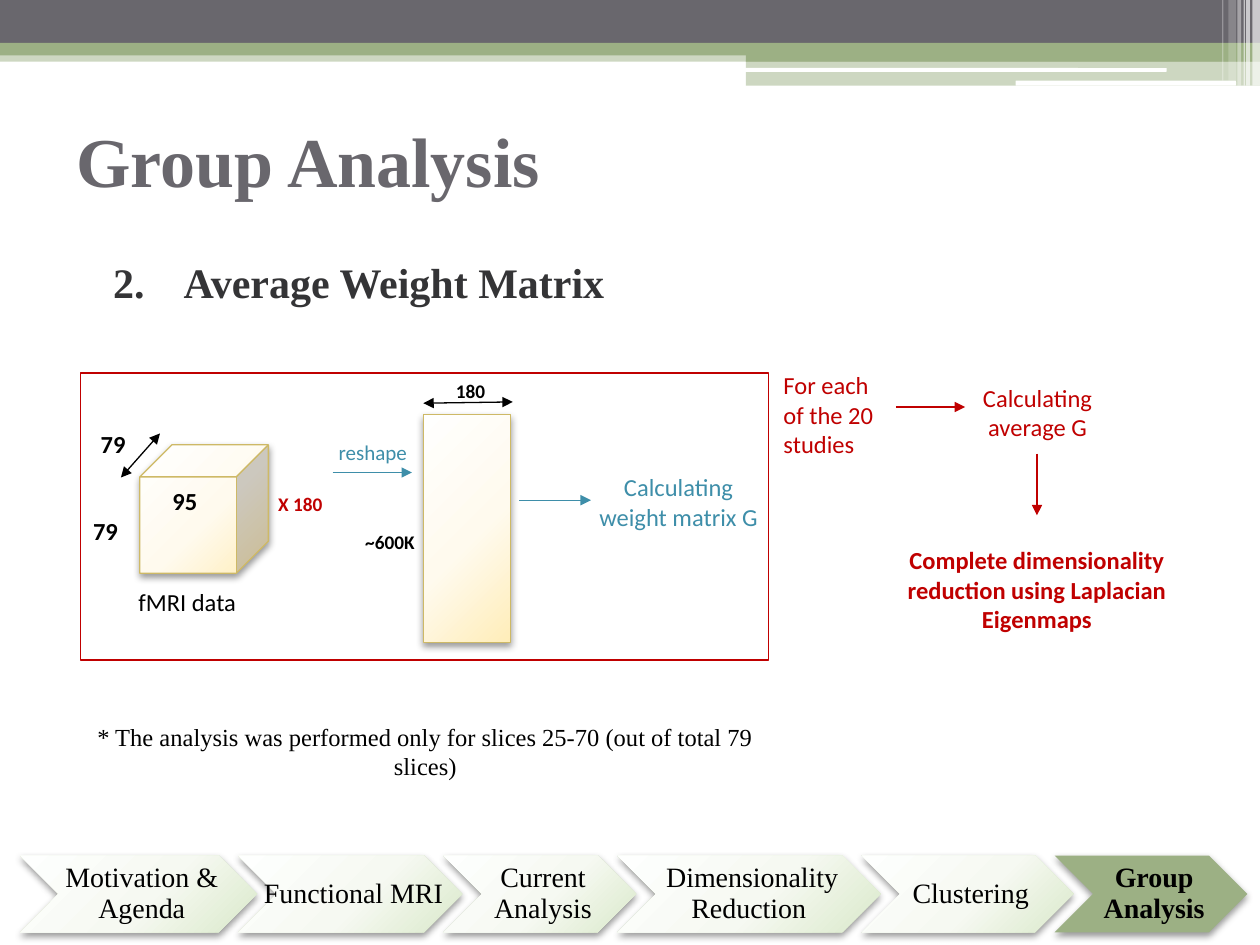
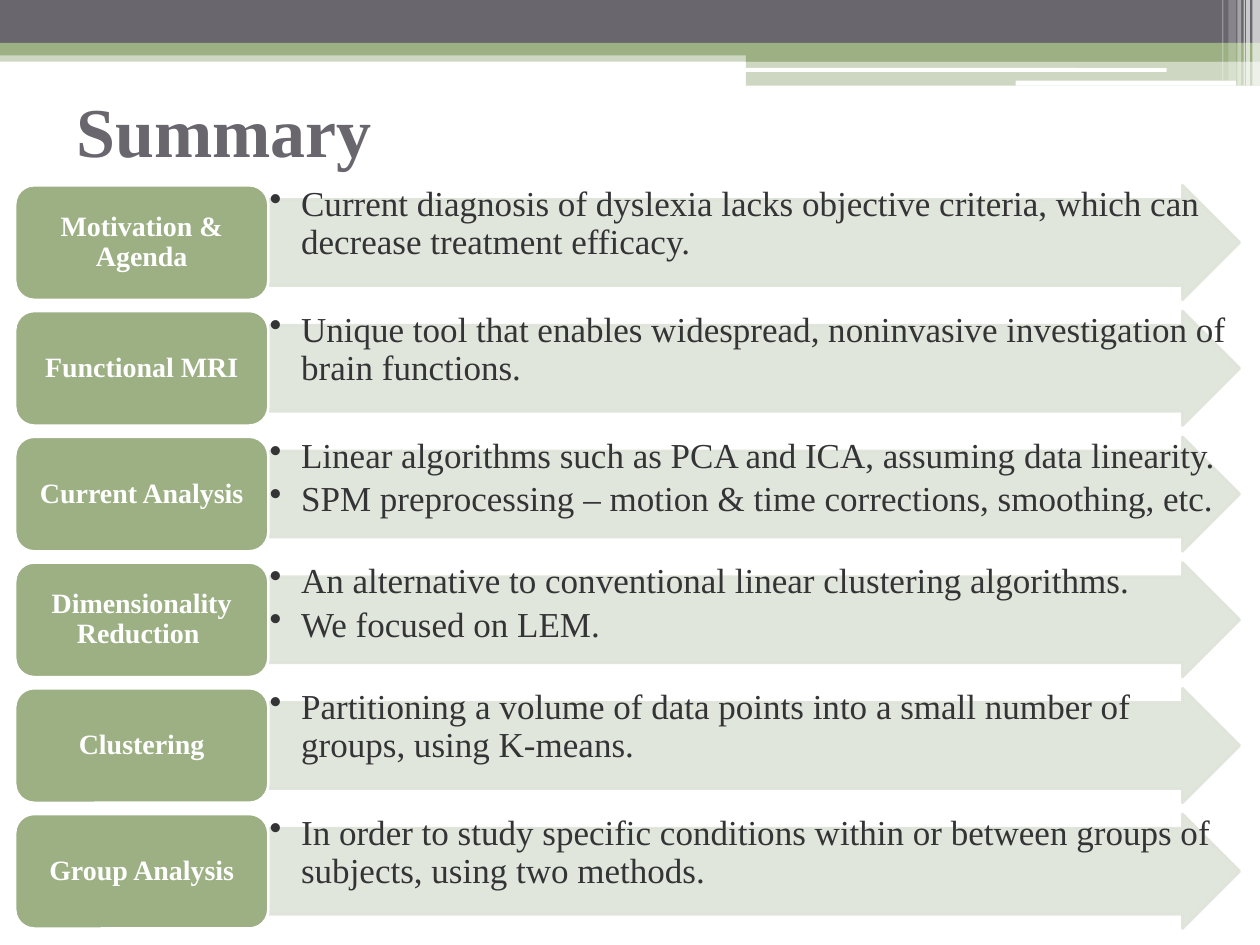
from lxml import etree
from pptx import Presentation
from pptx.dml.color import RGBColor
from pptx.enum import shapes as kinds, text as modes
from pptx.oxml import ns
from pptx.util import Inches, Pt

HEX = {
    "white": "FFFFFF", "black": "000000", "slate": "69676D", "green": "9CB084",
    "ink": "343436", "pale": "DEE4D9", "gold": "CEB966", "red": "C00000",
    "blue": "3E8EA9",
}
MINT = [(0, "FEFFFE"), (55, "F6F9F2"), (100, "DAE9CA")]
CREAM = [(0, "FFFFFE"), (55, "FFFAEE"), (100, "FFEDB9")]
SERIF, SANS = "Times New Roman", "Calibri"
FORM = kinds.MSO_SHAPE
MID = modes.MSO_ANCHOR.MIDDLE
LEFT, CENTER = modes.PP_ALIGN.LEFT, modes.PP_ALIGN.CENTER

BANDS = [
    (0, 0.4, 10, 0.09, "green", 50),
    (0, 0, 10, 0.34, "slate", 100),
    (0, 0.34, 10, 0.1, "green", 100),
    (5.92, 0.39, 4.08, 0.1, "green", 100),
    (5.92, 0.48, 4.08, 0.2, "green", 50),
]
STROKES = [(5.91, 0.54, 3.35, 0.03), (8.06, 0.64, 1.75, 0.04)]
STRIPES = [
    (9.94, 0.06, 0.68, 65), (9.89, 0.03, 0.68, 65), (9.87, 0.01, 0.68, 60),
    (9.82, 0.03, 0.68, 40), (9.75, 0.06, 0.64, 20), (9.7, 0.01, 0.64, 30),
]
STEPS = [
    ("Motivation & Agenda", 1.88,
     ["Current diagnosis of dyslexia lacks objective criteria, which can decrease treatment efficacy."]),
    ("Functional MRI", 1.78,
     ["Unique tool that enables widespread, noninvasive investigation of brain functions."]),
    ("Current Analysis", 1.53,
     ["Linear algorithms such as PCA and ICA, assuming data linearity.",
      "SPM preprocessing – motion & time corrections, smoothing, etc."]),
    ("Dimensionality Reduction ", 2.09,
     ["An alternative to conventional linear clustering algorithms.",
      "We focused on LEM."]),
    ("Clustering", 1.68,
     ["Partitioning a volume of data points into a small number of groups, using K-means."]),
    ("Group Analysis", 1.53,
     ["In order to study specific conditions within or between groups of subjects, using two methods."]),
]
LABELS = [
    ("~600K", (2.8, 4.16, 0.61, 0.29), 11, "black", True, LEFT),
    ("180", (3.52, 2.96, 0.47, 0.29), 11, "black", True, LEFT),
    ("fMRI data", (1, 4.61, 1.03, 0.34), 14, "black", False, LEFT),
    ("79", (0.64, 4.05, 0.45, 0.34), 14, "black", True, LEFT),
    ("95", (1.27, 3.81, 0.45, 0.34), 14, "black", True, LEFT),
    ("79", (0.7, 3.36, 0.45, 0.34), 14, "black", True, LEFT),
    ("X 180", (2.11, 3.86, 0.61, 0.29), 11, "red", True, LEFT),
    ("reshape", (2.59, 3.44, 0.84, 0.3), 12, "blue", False, LEFT),
    ("Calculating weight matrix G", (4.59, 3.7, 1.59, 0.57), 14, "blue", False, CENTER),
    ("For each of the 20 studies", (6.12, 2.89, 1.03, 0.81), 14, "red", False, LEFT),
    ("Calculating average G", (7.65, 2.99, 1.17, 0.57), 14, "red", False, CENTER),
    ("Complete dimensionality reduction using Laplacian Eigenmaps",
     (7.05, 4.28, 2.36, 0.81), 14, "red", True, CENTER),
]
ARROWS = [
    ((4.07, 3.19), (3.36, 3.2), "black", True),
    ((1.27, 3.44), (0.96, 3.79), "black", True),
    ((2.64, 3.75), (3.27, 3.75), "blue", False),
    ((4.12, 3.97), (4.69, 3.97), "blue", False),
    ((7.11, 3.23), (7.66, 3.23), "red", False),
    ((8.23, 3.6), (8.23, 4.09), "red", False),
]


def rgb(name):
    return RGBColor.from_string(HEX[name])


def add(node, tag, **attrs):
    return etree.SubElement(node, ns.qn(tag), {k: str(v) for k, v in attrs.items()})


def fade(node, alpha):
    for color in node.iter(ns.qn("a:srgbClr")):
        add(color, "a:alpha", val=alpha * 1000)


def blend(shape, stops):
    shape.fill.background()
    props = shape._element.spPr
    grad = etree.Element(ns.qn("a:gradFill"), rotWithShape="1")
    row = add(grad, "a:gsLst")
    for pos, color in stops:
        add(add(row, "a:gs", pos=pos * 1000), "a:srgbClr", val=color)
    add(add(grad, "a:path", path="circle"), "a:fillToRect",
        l=-40000, t=-90000, r=140000, b=190000)
    props.replace(props.find(ns.qn("a:noFill")), grad)


def shade(shape):
    glow = add(shape._element.spPr.find(ns.qn("a:effectLst")), "a:outerShdw",
               blurRad=Pt(4.1), dist=Pt(2), dir=5400000, rotWithShape=0)
    fade_color = add(glow, "a:srgbClr", val=HEX["black"])
    add(fade_color, "a:alpha", val=40000)


def draw(slide, form, box, fill=None, line=None, width=0.75, alpha=100, cast=False):
    shape = slide.shapes.add_shape(form, *map(Inches, box))
    shape.shadow.inherit = False
    if isinstance(fill, list):
        blend(shape, fill)
    elif fill:
        shape.fill.solid()
        shape.fill.fore_color.rgb = rgb(fill)
    else:
        shape.fill.background()
    if line:
        shape.line.color.rgb = rgb(line)
        shape.line.width = Pt(width)
    else:
        shape.line.fill.background()
    if alpha < 100:
        fade(shape._element.spPr, alpha)
    if cast:
        shade(shape)
    return shape


def write(shape, lines, size, color, face=SERIF, bold=False, align=LEFT,
          anchor=modes.MSO_ANCHOR.TOP, inset=(0.1, 0.05, 0.1, 0.05),
          space=None, mark=None, hang=(0, 0)):
    frame = shape.text_frame
    frame.word_wrap = True
    frame.vertical_anchor = anchor
    for side, gap in zip(("left", "top", "right", "bottom"), inset):
        setattr(frame, "margin_" + side, Inches(gap))
    for i, line in enumerate(lines):
        para = frame.paragraphs[0] if i == 0 else frame.add_paragraph()
        para.alignment = align
        if space:
            para.line_spacing = 0.9
            para.space_after = Pt(space)
        if mark:
            props = para._p.get_or_add_pPr()
            props.set("marL", str(Inches(hang[0])))
            props.set("indent", str(Inches(hang[1])))
            tag, attrs = mark
            add(props, tag, **attrs)
        run = para.add_run()
        run.text = line
        style = {"size": Pt(size), "name": face, "bold": bold}
        for key, val in style.items():
            setattr(run.font, key, val)
        run.font.color.rgb = rgb(color)


def label(slide, box, lines, size, color, **style):
    write(slide.shapes.add_textbox(*map(Inches, box)), lines, size, color, **style)


def arrow(slide, start, end, color, both):
    line = slide.shapes.add_connector(
        kinds.MSO_CONNECTOR.STRAIGHT, *map(Inches, start + end))
    line.line.color.rgb = rgb(color)
    line.line.width = Pt(0.75)
    stroke = line.line._get_or_add_ln()
    if both:
        add(stroke, "a:headEnd", type="triangle")
    add(stroke, "a:tailEnd", type="triangle")
    add(line._element.spPr, "a:effectLst")


def page(deck, title, top):
    slide = deck.slides.add_slide(deck.slide_layouts[6])
    for *box, color, alpha in BANDS:
        draw(slide, FORM.RECTANGLE, box, color, alpha=alpha)
    for box in STROKES:
        draw(slide, FORM.ROUNDED_RECTANGLE, box, "white")
    for left, width, height, alpha in STRIPES:
        draw(slide, FORM.RECTANGLE, (left, 0, width, height), "white", alpha=alpha)
    label(slide, (0.51, top, 9, 1.17), [title], 40, "slate", bold=True, anchor=MID)
    return slide


def trail(slide, active):
    left = 0.16
    for name, width, _ in STEPS:
        live = name == active
        box = (left, 6.79, width, 0.61)
        draw(slide, FORM.CHEVRON, box, "green" if live else MINT, cast=True)
        label(slide, box, [name], 16, "black", bold=live, align=CENTER, anchor=MID,
              inset=(0.07, 0.02, 0.02, 0.02), space=5.6)
        left += width - 0.15


def group(deck):
    slide = page(deck, "Group Analysis", 0.68)
    trail(slide, "Group Analysis")
    label(slide, (0.68, 1.99, 9, 0.5), ["Average Weight Matrix"], 24, "ink", bold=True,
          mark=("a:buAutoNum", {"type": "arabicPeriod", "startAt": 2}),
          hang=(0.68, -0.56))
    for form, box in ((FORM.RECTANGLE, (3.36, 3.29, 0.69, 1.81)),
                      (FORM.CUBE, (1.11, 3.53, 1.02, 1.02))):
        draw(slide, form, box, CREAM, "gold", cast=True)
    draw(slide, FORM.RECTANGLE, (0.64, 2.96, 5.46, 2.28), line="red", width=1)
    for words, box, size, color, bold, align in LABELS:
        label(slide, box, [words], size, color, face=SANS, bold=bold, align=align)
    for ends in ARROWS:
        arrow(slide, *ends)
    label(slide, (0.44, 5.68, 5.87, 0.57),
          ["* The analysis was performed only for slices 25-70 (out of total 79 slices)"],
          14, "black", align=CENTER)


def recap(deck):
    slide = page(deck, "Summary", 0.44)
    pitch = (6.46 - 1.47) / (len(STEPS) - 1)
    for i, (name, _, points) in enumerate(STEPS):
        top = 1.47 + i * pitch
        box = (2.13, top, 7.71, 0.91)
        shape = draw(slide, FORM.RIGHT_ARROW, box, "pale", "pale", 1.5, alpha=90)
        shape.adjustments[0] = 0.75
        label(slide, box, points, 20, "ink", inset=(0.01,) * 4, space=3,
              mark=("a:buChar", {"char": "•"}), hang=(0.25, -0.25))
        tag = draw(slide, FORM.ROUNDED_RECTANGLE, (0.12, top, 2.01, 0.91),
                   "green", "white", 1.5)
        write(tag, [name], 16, "white", bold=True, align=CENTER, anchor=MID,
              inset=(0.07, 0.03, 0.07, 0.03), space=5.6)


def main():
    deck = Presentation()
    deck.slide_width, deck.slide_height = Inches(10), Inches(7.5)
    group(deck)
    recap(deck)
    deck.save("out.pptx")


if __name__ == "__main__":
    main()
